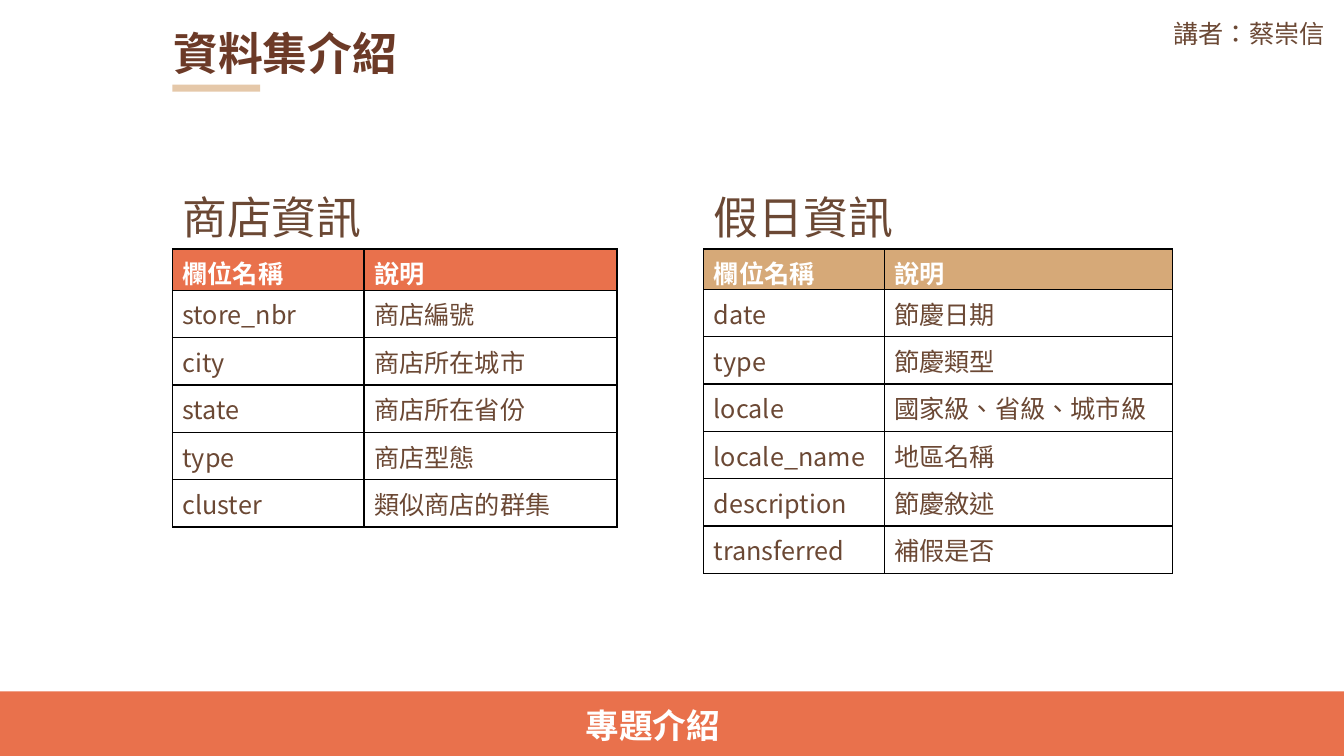
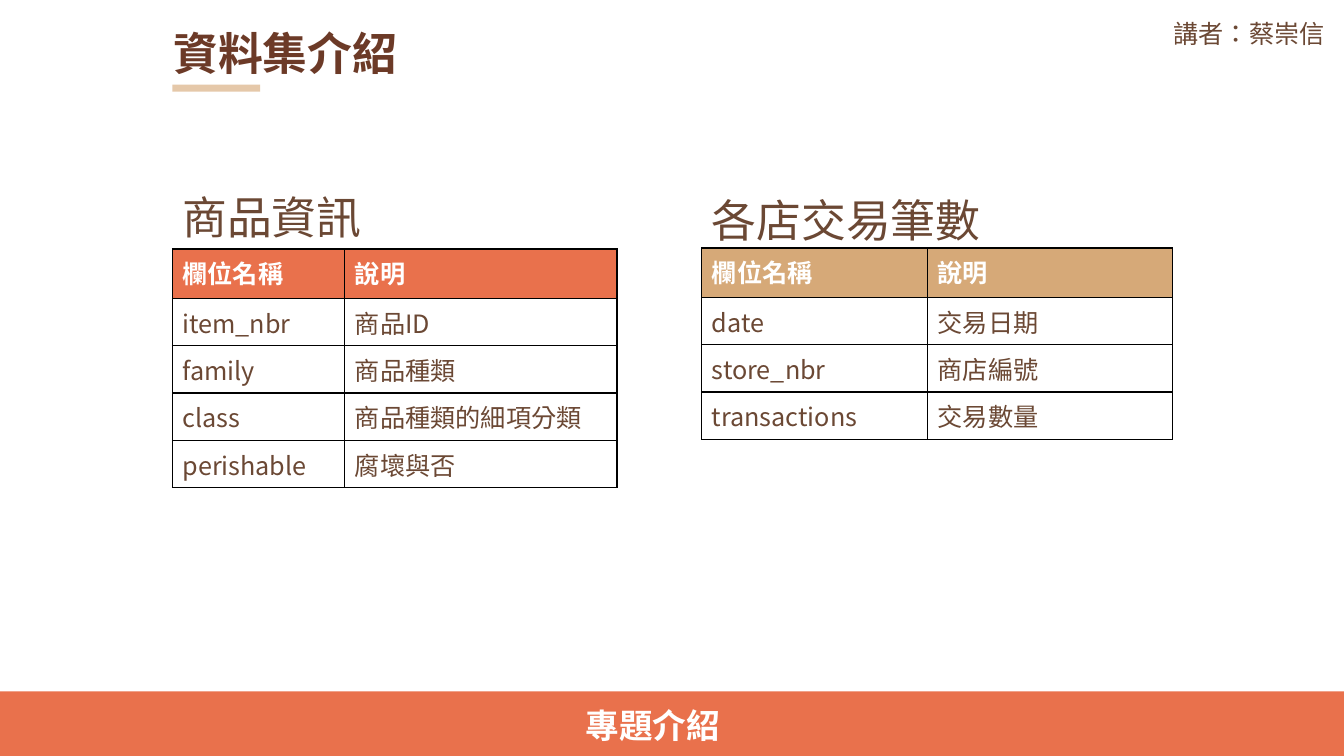
import pptx
import pptx.dml.color
import pptx.enum.lang
import pptx.enum.shapes
import pptx.enum.text
import pptx.oxml
import pptx.oxml.ns
import pptx.util

Inches = pptx.util.Inches
ORANGE, TAN, SAND = "E9714C", "D6A978", "E5C8A9"
BROWN, TITLE_BROWN, WHITE, BLACK = "6B4834", "6C3A27", "FFFFFF", "000000"
HEADING_FONT, SPEAKER_FONT, TABLE_FONT = (f"Noto Sans CJK {region}" for region in ("SC", "TC", "JP"))
SLIDE_WIDTH, SLIDE_HEIGHT = 13.33, 7.5
CONTENT_LEFT = 1.71
HEADING_HEIGHT = 0.64
ROW_HEIGHT = 0.47

SLIDES = [
    [
        dict(heading="商店資訊", box=(CONTENT_LEFT, 1.83), table_top=2.47, accent=ORANGE,
             columns=(1.9, 2.51), header_height=0.41,
             fields=[("store_nbr", "商店編號"), ("city", "商店所在城市"), ("state", "商店所在省份"),
                     ("type", "商店型態"), ("cluster", "類似商店的群集")]),
        dict(heading="假日資訊", box=(6.98, 1.83), table_top=2.47, accent=TAN,
             columns=(1.79, 2.86), header_height=0.38,
             fields=[("date", "節慶日期"), ("type", "節慶類型"), ("locale", "國家級、省級、城市級"),
                     ("locale_name", "地區名稱"), ("description", "節慶敘述"),
                     ("transferred", "補假是否")]),
    ],
    [
        dict(heading="商品資訊", box=(CONTENT_LEFT, 1.83), table_top=2.47, accent=ORANGE,
             columns=(1.71, 2.7), header_height=0.49,
             fields=[("item_nbr", "商品ID"), ("family", "商品種類"),
                     ("class", "商品種類的細項分類"), ("perishable", "腐壞與否")]),
        dict(heading="各店交易筆數", box=(6.96, 1.86), table_top=2.46, accent=TAN,
             columns=(2.24, 2.43), header_height=0.49,
             fields=[("date", "交易日期"), ("store_nbr", "商店編號"), ("transactions", "交易數量")]),
    ],
]


def color(hex_value):
    return pptx.dml.color.RGBColor.from_string(hex_value)


def add_run(frame, text, font_name, size, hex_value, bold=False):
    run = frame.paragraphs[0].add_run()
    run.text = text
    font = run.font
    font.name = font_name
    font.size = pptx.util.Pt(size)
    font.bold = bold
    font.color.rgb = color(hex_value)
    font.language_id = pptx.enum.lang.MSO_LANGUAGE_ID.TRADITIONAL_CHINESE
    east_asian = pptx.oxml.parse_xml(
        f'<a:ea {pptx.oxml.ns.nsdecls("a")} typeface="{font_name}"/>')
    run.font.fill
    run._r.get_or_add_rPr().find(pptx.oxml.ns.qn("a:latin")).addnext(east_asian)


def add_label(slide, box, text, font_name, size, hex_value, bold=False, wrap=True):
    frame = slide.shapes.add_textbox(*map(Inches, box)).text_frame
    frame.word_wrap = wrap
    frame.auto_size = pptx.enum.text.MSO_AUTO_SIZE.SHAPE_TO_FIT_TEXT
    add_run(frame, text, font_name, size, hex_value, bold)


def add_band(slide, box, hex_value):
    band = slide.shapes.add_shape(pptx.enum.shapes.MSO_SHAPE.RECTANGLE, *map(Inches, box))
    band.shadow.inherit = False
    band.fill.solid()
    band.fill.fore_color.rgb = color(hex_value)
    band.line.fill.background()


def add_frame(slide):
    add_band(slide, (CONTENT_LEFT, 0.84, 0.87, 0.07), SAND)
    add_label(slide, (11.54, 0.13, 1.72, 0.4), "講者：蔡崇信", SPEAKER_FONT, 18, BROWN, wrap=False)
    footer_top = SLIDE_HEIGHT - 0.64
    add_band(slide, (0, footer_top, SLIDE_WIDTH, 0.64), ORANGE)
    add_label(slide, (5.71, footer_top + 0.08, 1.55, 0.5), "專題介紹",
              HEADING_FONT, 24, WHITE, bold=True, wrap=False)
    add_label(slide, (1.62, 0.21, 4.96, HEADING_HEIGHT), "資料集介紹",
              HEADING_FONT, 32, TITLE_BROWN, bold=True)


def style_cell(cell, fill):
    properties = cell._tc.get_or_add_tcPr()
    for side in ("lnL", "lnR", "lnT", "lnB"):
        properties.append(pptx.oxml.parse_xml(
            f'<a:{side} {pptx.oxml.ns.nsdecls("a")} w="{pptx.util.Pt(1)}">'
            f'<a:solidFill><a:srgbClr val="{BLACK}"/></a:solidFill></a:{side}>'))
    cell.fill.solid()
    cell.fill.fore_color.rgb = color(fill)


def add_field_table(slide, heading, box, table_top, accent, columns, header_height, fields):
    left, top = box
    width = sum(columns)
    add_label(slide, (left, top, width, HEADING_HEIGHT), heading, HEADING_FONT, 32, BROWN)
    rows = [("欄位名稱", "說明"), *fields]
    height = header_height + ROW_HEIGHT * len(fields)
    table = slide.shapes.add_table(
        len(rows), len(columns), *map(Inches, (left, table_top, width, height))).table
    table.horz_banding = False
    for column, column_width in zip(table.columns, columns):
        column.width = Inches(column_width)
    for row_index, texts in enumerate(rows):
        is_header = row_index == 0
        table.rows[row_index].height = Inches(header_height if is_header else ROW_HEIGHT)
        for column_index, text in enumerate(texts):
            cell = table.cell(row_index, column_index)
            style_cell(cell, accent if is_header else WHITE)
            if not is_header:
                cell.vertical_anchor = pptx.enum.text.MSO_ANCHOR.MIDDLE
            add_run(cell.text_frame, text, TABLE_FONT, 18,
                    WHITE if is_header else BROWN, bold=is_header)


def main():
    presentation = pptx.Presentation()
    presentation.slide_width = Inches(SLIDE_WIDTH)
    presentation.slide_height = Inches(SLIDE_HEIGHT)
    for field_tables in SLIDES:
        slide = presentation.slides.add_slide(presentation.slide_layouts[6])
        for field_table in field_tables:
            add_field_table(slide, **field_table)
        add_frame(slide)
    presentation.save("out.pptx")


if __name__ == "__main__":
    main()
